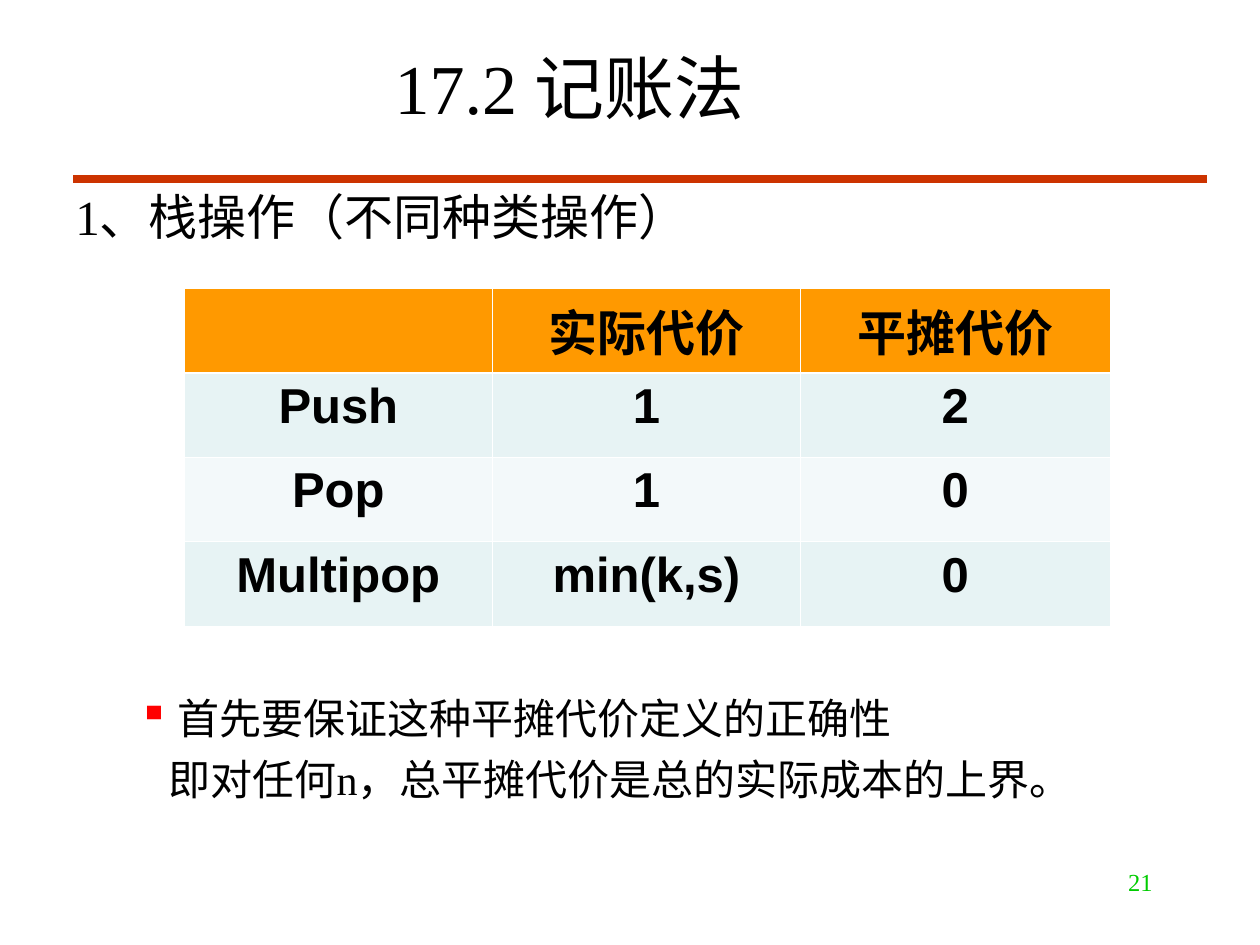
from dataclasses import dataclass

from pptx import Presentation
from pptx import util as u
from pptx.dml.color import RGBColor
from pptx.enum import shapes, text
from pptx.oxml.xmlchemy import OxmlElement


@dataclass(frozen=True)
class Theme:
    serif: str = "Times New Roman"
    sans: str = "Arial"
    ink: str = "000000"
    rule: str = "CC3300"
    bullet: str = "FF0000"
    number: str = "00CC00"
    header: str = "FF9900"
    bands: tuple = ("E7F3F4", "F3F9FA")
    border: str = "FFFFFF"
    title_size: int = 40
    heading_size: int = 28
    point_size: int = 24
    number_size: int = 14


@dataclass(frozen=True)
class Box:
    left: float
    top: float
    width: float
    height: float

    def lengths(self) -> tuple:
        return tuple(u.Cm(v) for v in (self.left, self.top, self.width, self.height))


@dataclass(frozen=True)
class Line:
    words: str
    size: int
    color: str = Theme.ink
    font: str = Theme.serif
    bold: bool = False
    align: text.PP_ALIGN = text.PP_ALIGN.LEFT
    margin: float = 0
    indent: float = 0
    space_before: float = 0
    bullet: str = ""


THEME = Theme()
TABLE_ROWS = (
    ("", "实际代价", "平摊代价"),
    ("Push", "1", "2"),
    ("Pop", "1", "0"),
    ("Multipop", "min(k,s)", "0"),
)
COLUMN_WIDTHS = (6.22, 6.2, 6.25)
ROW_HEIGHT = 1.7


def add_color(parent, tag: str, color: str) -> None:
    holder = OxmlElement(tag)
    value = OxmlElement("a:srgbClr")
    value.set("val", color)
    holder.append(value)
    parent.append(holder)


def write_line(paragraph, line: Line) -> None:
    properties = paragraph._p.get_or_add_pPr()
    properties.set("marL", str(u.Cm(line.margin)))
    properties.set("indent", str(u.Cm(line.indent)))
    if line.bullet:
        add_color(properties, "a:buClr", THEME.bullet)
        mark = OxmlElement("a:buChar")
        mark.set("char", line.bullet)
    else:
        mark = OxmlElement("a:buNone")
    properties.append(mark)
    paragraph.alignment = line.align
    paragraph.space_before = u.Pt(line.space_before)
    run = paragraph.add_run()
    run.text = line.words
    formats = {"name": line.font, "size": u.Pt(line.size), "bold": line.bold}
    for name, value in formats.items():
        setattr(run.font, name, value)
    run.font.color.rgb = RGBColor.from_string(line.color)


def fill_frame(frame, *lines: Line, anchor=text.MSO_ANCHOR.TOP) -> None:
    formats = {
        "word_wrap": True,
        "auto_size": text.MSO_AUTO_SIZE.NONE,
        "vertical_anchor": anchor,
    }
    for name, value in formats.items():
        setattr(frame, name, value)
    for index, line in enumerate(lines):
        write_line(frame.add_paragraph() if index else frame.paragraphs[0], line)


def add_text(slide, box: Box, *lines: Line) -> None:
    fill_frame(slide.shapes.add_textbox(*box.lengths()).text_frame, *lines)


def add_rule(slide, left: float, right: float, y: float) -> None:
    connector = slide.shapes.add_connector(
        shapes.MSO_CONNECTOR.STRAIGHT, u.Cm(left), u.Cm(y), u.Cm(right), u.Cm(y))
    connector.line.color.rgb = RGBColor.from_string(THEME.rule)
    connector.line.width = u.Pt(4.5)
    connector._element.spPr.append(OxmlElement("a:effectLst"))


def set_borders(cell, row: int) -> None:
    thick_sides = {0: "a:lnB", 1: "a:lnT"}
    properties = cell._tc.get_or_add_tcPr()
    for side in ("a:lnL", "a:lnR", "a:lnT", "a:lnB"):
        border = OxmlElement(side)
        width = 1.47 if thick_sides.get(row) == side else 0.45
        border.set("w", str(u.Pt(width)))
        add_color(border, "a:solidFill", THEME.border)
        properties.append(border)


def add_cost_table(slide, left: float, top: float) -> None:
    box = Box(left, top, sum(COLUMN_WIDTHS), ROW_HEIGHT * len(TABLE_ROWS))
    table = slide.shapes.add_table(
        len(TABLE_ROWS), len(COLUMN_WIDTHS), *box.lengths()).table
    for column, width in zip(table.columns, COLUMN_WIDTHS):
        column.width = u.Cm(width)
    for row, values in enumerate(TABLE_ROWS):
        table.rows[row].height = u.Cm(ROW_HEIGHT)
        color = THEME.bands[(row - 1) % 2] if row else THEME.header
        for column, value in enumerate(values):
            cell = table.cell(row, column)
            set_borders(cell, row)
            cell.fill.solid()
            cell.fill.fore_color.rgb = RGBColor.from_string(color)
            if value:
                write_line(cell.text_frame.paragraphs[0], Line(
                    value, THEME.heading_size, font=THEME.sans, bold=True,
                    align=text.PP_ALIGN.CENTER))


def main() -> None:
    presentation = Presentation()
    presentation.slide_width, presentation.slide_height = u.Cm(25.4), u.Cm(19.05)
    slide = presentation.slides.add_slide(presentation.slide_layouts[5])

    # Title and the rule under it
    add_rule(slide, 1.48, 24.34, 3.6)
    title = slide.shapes.title
    title.left, title.top, title.width, title.height = Box(
        1.27, 0.76, 20.42, 1.96).lengths()
    fill_frame(
        title.text_frame,
        Line("17.2 记账法", THEME.title_size, align=text.PP_ALIGN.CENTER),
        anchor=text.MSO_ANCHOR.MIDDLE)

    # Section heading
    add_text(slide, Box(1.27, 3.63, 22.83, 1.5),
             Line("1、栈操作（不同种类操作）", THEME.heading_size))

    # Actual and amortized costs
    add_cost_table(slide, 3.71, 5.82)

    # Condition on the amortized costs
    add_text(
        slide, Box(1.27, 13.84, 22.83, 2.8),
        Line("首先要保证这种平摊代价定义的正确性", THEME.point_size,
             margin=2.06, indent=-0.79, bullet="▪"),
        Line("即对任何n，总平摊代价是总的实际成本的上界。", THEME.point_size,
             margin=1.88, space_before=6, align=text.PP_ALIGN.JUSTIFY))

    # Slide number
    add_text(slide, Box(18.21, 17.35, 5.28, 1.27),
             Line("21", THEME.number_size, THEME.number, align=text.PP_ALIGN.RIGHT))

    presentation.save("out.pptx")


if __name__ == "__main__":
    main()
